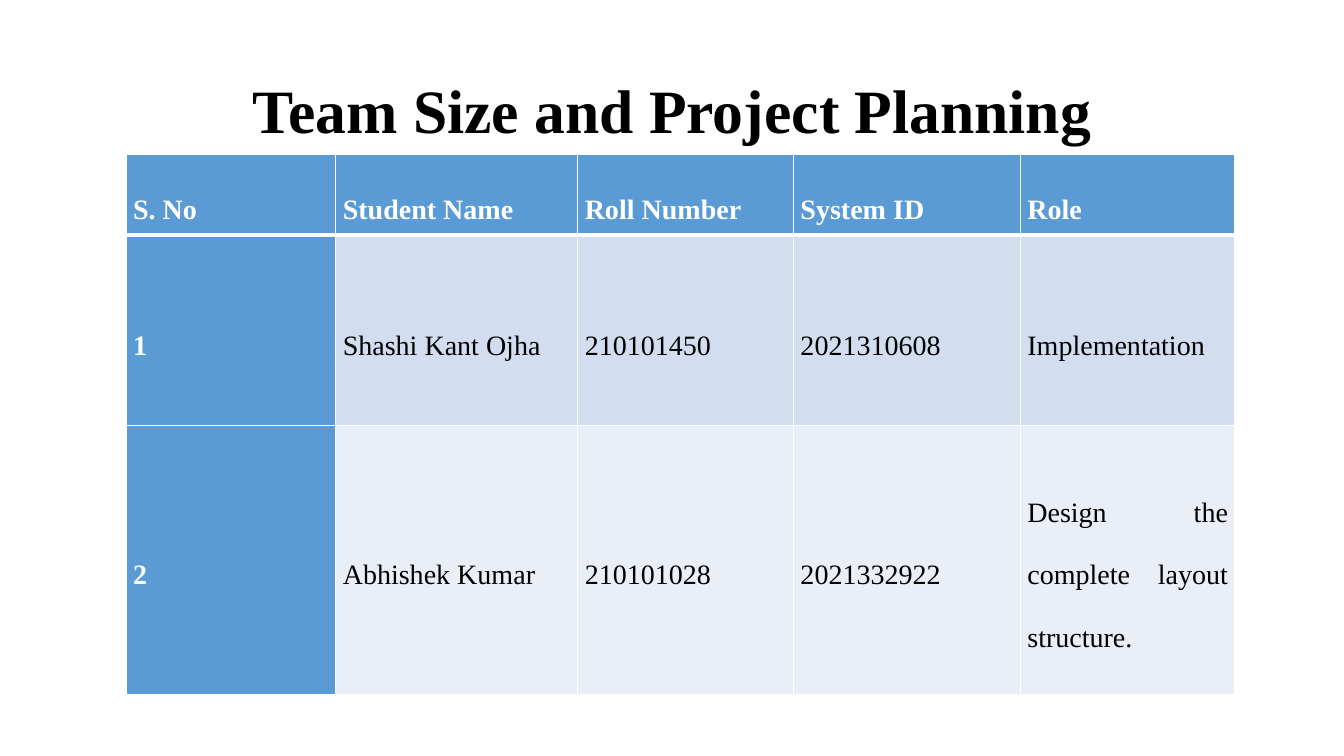
"""Build the team and project planning slide."""
from lxml import etree
from pptx import Presentation
from pptx.dml.color import RGBColor
from pptx.enum.text import MSO_ANCHOR, PP_ALIGN
from pptx.oxml.ns import qn
from pptx.util import Inches, Pt

MIDDLE = MSO_ANCHOR.MIDDLE
CENTER, JUSTIFY = PP_ALIGN.CENTER, PP_ALIGN.JUSTIFY

TITLE = "Team Size and Project Planning"
ROWS = [
    ("S. No", "Student Name", "Roll Number", "System ID", "Role"),
    ("1", "Shashi Kant Ojha", "210101450", "2021310608", "Implementation"),
    ("2", "Abhishek Kumar", "210101028", "2021332922",
     "Design the complete layout structure."),
]
WIDTHS = [2.08, 2.4, 2.14, 2.25, 2.13]
HEIGHTS = [0.8, 1.89, 2.67]
HEAD, BANDS = "5B9BD5", ["D2DEEF", "EAEFF7"]
WHITE, BLACK = "FFFFFF", "000000"
FONT = "Times New Roman"

TITLE_PARA = {"alignment": CENTER, "line_spacing": 0.9}
CELL_PARA = {"alignment": JUSTIFY, "line_spacing": 2.0, "space_after": Pt(10)}
CELL_BOX = {"vertical_anchor": MIDDLE,
            "margin_left": Inches(0.07), "margin_right": Inches(0.07),
            "margin_top": 0, "margin_bottom": 0}


def color(target, code):
    target.rgb = RGBColor.from_string(code)


def apply(target, values):
    for name, value in values.items():
        setattr(target, name, value)


def write(frame, text, para, size, code, bold):
    line = frame.paragraphs[0]
    apply(line, para)
    run = line.add_run()
    run.text = text
    apply(run.font, {"name": FONT, "size": Pt(size), "bold": bold})
    color(run.font.color, code)


def border(cell, widths):
    props = cell._tc.get_or_add_tcPr()
    for side, width in widths.items():
        edge = etree.SubElement(props, qn("a:ln" + side), w=str(Pt(width)))
        fill = etree.SubElement(edge, qn("a:solidFill"))
        etree.SubElement(fill, qn("a:srgbClr"), val=WHITE)


def add_title(slide):
    title = slide.shapes.title
    apply(title, {"left": Inches(0.92), "top": Inches(0.4),
                  "width": Inches(11.5), "height": Inches(1.45)})
    title.text_frame.vertical_anchor = MIDDLE
    write(title.text_frame, TITLE, TITLE_PARA, 44, BLACK, True)


def add_team(slide):
    table = slide.shapes.add_table(
        len(ROWS), len(WIDTHS), Inches(1.25), Inches(1.53),
        Inches(sum(WIDTHS)), Inches(sum(HEIGHTS))).table
    table.first_col = True
    for col, width in zip(table.columns, WIDTHS):
        col.width = Inches(width)
    for row, height in zip(table.rows, HEIGHTS):
        row.height = Inches(height)
    for r, texts in enumerate(ROWS):
        for c, text in enumerate(texts):
            cell = table.cell(r, c)
            head = r == 0 or c == 0
            apply(cell, CELL_BOX)
            border(cell, {"L": 1, "R": 1, "T": 3 if r == 1 else 1,
                          "B": 3 if r == 0 else 1})
            cell.fill.solid()
            color(cell.fill.fore_color, HEAD if head else BANDS[r - 1])
            write(cell.text_frame, text, CELL_PARA, 20,
                  WHITE if head else BLACK, head)


def main():
    deck = Presentation()
    apply(deck, {"slide_width": Inches(13.33), "slide_height": Inches(7.5)})
    slide = deck.slides.add_slide(deck.slide_layouts[5])
    add_title(slide)
    add_team(slide)
    deck.save("out.pptx")


if __name__ == "__main__":
    main()
